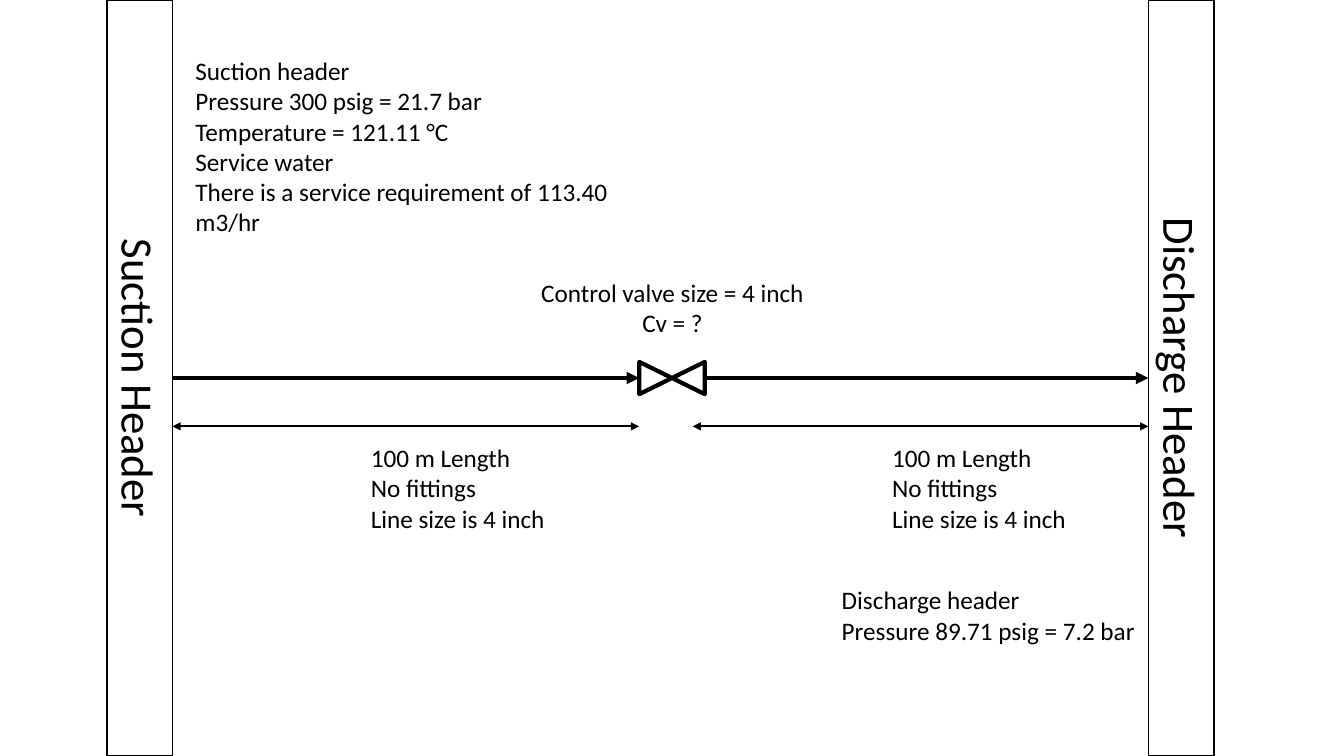
from dataclasses import dataclass

from pptx import Presentation
from pptx.dml.color import RGBColor
from pptx.enum.shapes import MSO_CONNECTOR, MSO_SHAPE
from pptx.enum.text import MSO_ANCHOR, MSO_AUTO_SIZE, PP_ALIGN
from pptx.oxml.ns import qn
from pptx.oxml.xmlchemy import OxmlElement
from pptx.util import Inches, Pt

BLACK, WHITE = "000000", "FFFFFF"
FONT = "Calibri"
SLIDE_WIDTH, SLIDE_HEIGHT = 13.33, 7.5
HEADER_WIDTH = 0.65
SUCTION_LEFT, DISCHARGE_LEFT = 1.06, 11.39
SUCTION_EDGE = SUCTION_LEFT + HEADER_WIDTH
VALVE_LEFT, VALVE_LENGTH, VALVE_HEIGHT = 6.34, 0.65, 0.32
VALVE_RIGHT = VALVE_LEFT + VALVE_LENGTH
PIPE_Y, DIMENSION_Y = 3.75, 4.23
LINE_DETAILS = ("100 m Length", "No fittings", "Line size is 4 inch")


@dataclass(frozen=True)
class Header:
    label: str
    left: float


@dataclass(frozen=True)
class Arrow:
    start: float
    end: float
    y: float
    weight: float
    ends: tuple[str, ...]


@dataclass(frozen=True)
class Note:
    lines: tuple[str, ...]
    left: float
    top: float
    width: float
    height: float
    align: PP_ALIGN = PP_ALIGN.LEFT


HEADERS = (
    Header("Suction Header", SUCTION_LEFT),
    Header("Discharge Header", DISCHARGE_LEFT),
)
FLOW, SPAN = ("a:tailEnd",), ("a:headEnd", "a:tailEnd")
ARROWS = (
    Arrow(SUCTION_EDGE, VALVE_LEFT, PIPE_Y, 3, FLOW),
    Arrow(VALVE_RIGHT, DISCHARGE_LEFT, PIPE_Y, 3, FLOW),
    Arrow(SUCTION_EDGE, VALVE_LEFT, DIMENSION_Y, 1.5, SPAN),
    Arrow(6.87, DISCHARGE_LEFT, DIMENSION_Y, 1.5, SPAN),
)
NOTES = (
    Note(LINE_DETAILS, 3.58, 4.34, 1.95, 1.01),
    Note(LINE_DETAILS, 8.75, 4.34, 1.95, 1.01),
    Note(("Suction header", "Pressure 300 psig = 21.7 bar",
          "Temperature = 121.11 °C", "Service water",
          "There is a service requirement of 113.40 m3/hr"),
         1.84, 0.5, 4.83, 1.92),
    Note(("Discharge header", "Pressure 89.71 psig = 7.2 bar"),
         8.25, 5.75, 3.32, 0.71),
    Note(("Control valve size = 4 inch", "Cv = ?"),
         5.22, 2.7, 2.9, 0.71, PP_ALIGN.CENTER),
)


def color(hex_code: str) -> RGBColor:
    return RGBColor.from_string(hex_code)


def write(frame, lines: tuple[str, ...], *, size: float = 18,
          align: PP_ALIGN = PP_ALIGN.LEFT, anchor: MSO_ANCHOR = MSO_ANCHOR.TOP) -> None:
    frame.word_wrap = True
    frame.vertical_anchor = anchor
    for index, line in enumerate(lines):
        paragraph = frame.paragraphs[0] if index == 0 else frame.add_paragraph()
        paragraph.alignment = align
        run = paragraph.add_run()
        run.text = line
        run.font.name = FONT
        run.font.size = Pt(size)
        run.font.color.rgb = color(BLACK)


def draw_outlined(slide, kind: MSO_SHAPE, left: float, top: float,
                  width: float, height: float, weight: float):
    shape = slide.shapes.add_shape(
        kind, Inches(left), Inches(top), Inches(width), Inches(height))
    shape.shadow.inherit = False
    shape.fill.solid()
    shape.fill.fore_color.rgb = color(WHITE)
    shape.line.color.rgb = color(BLACK)
    shape.line.width = Pt(weight)
    return shape


def draw_valve(slide) -> None:
    # The upright symbol turns a quarter about its centre to lie along the pipe
    center = VALVE_LEFT + VALVE_LENGTH / 2
    valve = draw_outlined(slide, MSO_SHAPE.FLOWCHART_COLLATE,
                          center - VALVE_HEIGHT / 2, PIPE_Y - VALVE_LENGTH / 2,
                          VALVE_HEIGHT, VALVE_LENGTH, 3)
    valve.rotation = 90


def draw_header(slide, header: Header) -> None:
    column = draw_outlined(slide, MSO_SHAPE.RECTANGLE, header.left, 0,
                           HEADER_WIDTH, SLIDE_HEIGHT, 1)
    write(column.text_frame, (header.label,), size=32,
          align=PP_ALIGN.CENTER, anchor=MSO_ANCHOR.MIDDLE)
    column.element.txBody.find(qn("a:bodyPr")).set("vert", "vert")


def draw_arrow(slide, arrow: Arrow) -> None:
    connector = slide.shapes.add_connector(
        MSO_CONNECTOR.STRAIGHT, Inches(arrow.start), Inches(arrow.y),
        Inches(arrow.end), Inches(arrow.y))
    connector.line.color.rgb = color(BLACK)
    connector.line.width = Pt(arrow.weight)
    properties = connector.element.spPr
    for tag in arrow.ends:
        arrowhead = OxmlElement(tag)
        arrowhead.set("type", "triangle")
        properties.find(qn("a:ln")).append(arrowhead)
    properties.append(OxmlElement("a:effectLst"))


def draw_note(slide, note: Note) -> None:
    box = slide.shapes.add_textbox(Inches(note.left), Inches(note.top),
                                   Inches(note.width), Inches(note.height))
    write(box.text_frame, note.lines, align=note.align)
    box.text_frame.auto_size = MSO_AUTO_SIZE.SHAPE_TO_FIT_TEXT


presentation = Presentation()
presentation.slide_width = Inches(SLIDE_WIDTH)
presentation.slide_height = Inches(SLIDE_HEIGHT)
diagram = presentation.slides.add_slide(presentation.slide_layouts[6])

# Control valve, headers, pipes with their lengths, and notes
draw_valve(diagram)
for header in HEADERS:
    draw_header(diagram, header)
for arrow in ARROWS:
    draw_arrow(diagram, arrow)
for note in NOTES:
    draw_note(diagram, note)

presentation.save("out.pptx")
